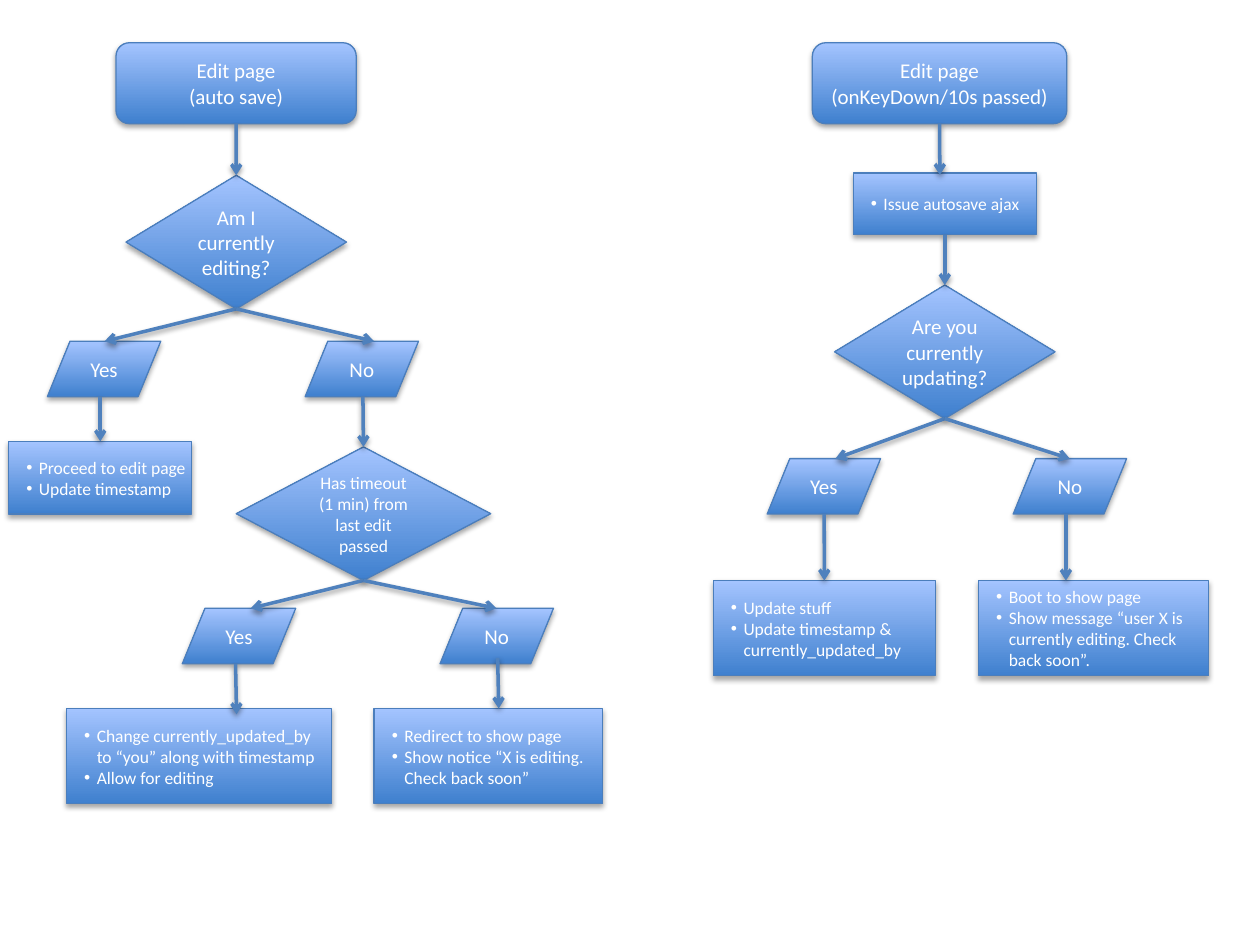
from lxml.etree import SubElement
from pptx import Presentation
from pptx.dml.color import RGBColor
from pptx.enum.shapes import MSO_CONNECTOR, MSO_SHAPE
from pptx.enum.text import MSO_ANCHOR, PP_ALIGN
from pptx.oxml.ns import qn
from pptx.util import Pt

TOP, BOTTOM = 0, 2
DECISION_SIZE = (126, 76.3)
ANSWER_SIZE = (64.8, 31.7)


def color(hex_string):
    return RGBColor.from_string(hex_string)


def add_shadow(shape, distance, opacity):
    """Cast a soft black shadow straight down, with opacity in percent."""
    properties = shape._element.spPr
    effects = SubElement(properties, qn("a:effectLst"))
    shadow = SubElement(effects, qn("a:outerShdw"), blurRad=str(Pt(3.1)),
                        dist=str(Pt(distance)), dir="5400000", rotWithShape="0")
    black = SubElement(shadow, qn("a:srgbClr"), val="000000")
    SubElement(black, qn("a:alpha"), val=str(opacity * 1000))


def add_bullet(paragraph):
    properties = paragraph._p.get_or_add_pPr()
    properties.set("marL", str(Pt(14.4)))
    properties.set("indent", str(Pt(-7.2)))
    SubElement(properties, qn("a:buFont"), typeface="Arial")
    SubElement(properties, qn("a:buChar"), char="•")


def write_text(shape, lines, size=12, align=PP_ALIGN.CENTER, bullets=False,
               font="Calibri", font_color="FFFFFF"):
    frame = shape.text_frame
    frame.word_wrap = True
    frame.vertical_anchor = MSO_ANCHOR.MIDDLE
    for index, line in enumerate(lines):
        paragraph = frame.add_paragraph() if index else frame.paragraphs[0]
        paragraph.alignment = align
        if bullets:
            add_bullet(paragraph)
        run = paragraph.add_run()
        run.text = line
        run.font.name = font
        run.font.size = Pt(size)
        run.font.color.rgb = color(font_color)


def add_node(slide, kind, left, top, width, height, lines, **text_format):
    shape = slide.shapes.add_shape(kind, Pt(left), Pt(top), Pt(width), Pt(height))
    shape.fill.gradient()
    shape.fill.gradient_angle = 90
    for stop, stop_color in zip(shape.fill.gradient_stops, ("3F80CE", "A4C4FF")):
        stop.color.rgb = color(stop_color)
    shape.line.color.rgb = color("4B7EBC")
    shape.line.width = Pt(0.75)
    add_shadow(shape, 1.8, 35)
    write_text(shape, lines, **text_format)
    return shape


def add_start(slide, left, width, *lines):
    return add_node(slide, MSO_SHAPE.FLOWCHART_ALTERNATE_PROCESS,
                    left, 24.4, width, 46.3, lines)


def add_decision(slide, left, top, question, width=DECISION_SIZE[0], size=12):
    return add_node(slide, MSO_SHAPE.FLOWCHART_DECISION,
                    left, top, width, DECISION_SIZE[1], [question], size=size)


def add_answer(slide, left, top, word):
    return add_node(slide, MSO_SHAPE.FLOWCHART_DATA, left, top, *ANSWER_SIZE, [word])


def add_action(slide, left, top, width, height, *lines):
    shape = add_node(slide, MSO_SHAPE.FLOWCHART_PROCESS, left, top, width, height,
                     lines, size=10, align=PP_ALIGN.LEFT, bullets=True)
    shape.text_frame.margin_left = shape.text_frame.margin_right = Pt(2.9)
    return shape


def add_arrow(slide, start, end, start_node=None, end_node=None):
    """Draw an arrow from start to end, joined to the nodes that are given."""
    arrow = slide.shapes.add_connector(MSO_CONNECTOR.STRAIGHT, *map(Pt, start + end))
    if start_node is not None:
        arrow.begin_connect(start_node, BOTTOM)
    if end_node is not None:
        arrow.end_connect(end_node, TOP)
    arrow.line.color.rgb = color("4F81BD")
    arrow.line.width = Pt(2)
    SubElement(arrow.line._get_or_add_ln(), qn("a:tailEnd"), type="arrow")
    add_shadow(arrow, 1.6, 38)


def draw_edit_flow(slide):
    start = add_start(slide, 66.3, 137.3, "Edit page", "(auto save)")
    editing = add_decision(slide, 72, 100.2, "Am I currently editing?")
    timeout = add_decision(slide, 135, 255.4, "Has timeout (1 min) from last edit passed",
                           width=145.4, size=10)
    for left, top, word in ((27.1, 195, "Yes"), (174.4, 195, "No"),
                            (104.2, 347.6, "Yes"), (251.5, 347.6, "No")):
        add_answer(slide, left, top, word)
    proceed = add_action(slide, 5, 252.2, 104.6, 41.5,
                         "Proceed to edit page", "Update timestamp")
    add_action(slide, 38, 404.9, 151.5, 54.4,
               "Change currently_updated_by to “you” along with timestamp",
               "Allow for editing")
    add_action(slide, 213.8, 404.9, 130.6, 54.4,
               "Redirect to show page", "Show notice “X is editing. Check back soon”")

    add_arrow(slide, (135, 70.7), (135, 100.2), start, editing)
    add_arrow(slide, (135, 176.5), (59.8, 195), editing)
    add_arrow(slide, (135, 176.5), (213.8, 195), editing)
    add_arrow(slide, (57.3, 226.7), (57.3, 252.2), end_node=proceed)
    add_arrow(slide, (207.4, 226.7), (207.7, 255.4), end_node=timeout)
    add_arrow(slide, (207.7, 331.7), (143.3, 347.6), timeout)
    add_arrow(slide, (207.7, 331.7), (283.7, 347.6), timeout)
    add_arrow(slide, (134.6, 379.4), (135.2, 408.2))
    add_arrow(slide, (284.4, 376), (285, 404.9))


def draw_autosave_flow(slide):
    start = add_start(slide, 464.2, 145.4, "Edit page", "(onKeyDown/10s passed)")
    issue = add_action(slide, 487.6, 98.8, 104.6, 35.3, "Issue autosave ajax")
    updating = add_decision(slide, 476.9, 162.9, "Are you currently updating?")
    add_answer(slide, 438.4, 262.1, "Yes")
    add_answer(slide, 579, 262.1, "No")
    update = add_action(slide, 407.6, 331.8, 126.9, 54.4,
                        "Update stuff", "Update timestamp & currently_updated_by")
    add_action(slide, 559.2, 331.8, 131.5, 54.4, "Boot to show page",
               "Show message “user X is currently editing. Check back soon”.")

    add_arrow(slide, (537, 70.7), (537.1, 100), start)
    add_arrow(slide, (539.9, 134.1), (539.9, 162.9), issue, updating)
    add_arrow(slide, (539.9, 239.2), (477.4, 262.1), updating)
    add_arrow(slide, (539.9, 239.2), (611.3, 262.1), updating)
    add_arrow(slide, (471, 293.8), (471, 331.8), end_node=update)
    add_arrow(slide, (609.1, 293.8), (609.1, 331.8))


def main():
    presentation = Presentation()
    presentation.slide_width = Pt(720)
    presentation.slide_height = Pt(540)
    slide = presentation.slides.add_slide(presentation.slide_layouts[6])
    draw_edit_flow(slide)
    draw_autosave_flow(slide)
    presentation.save("out.pptx")


if __name__ == "__main__":
    main()
